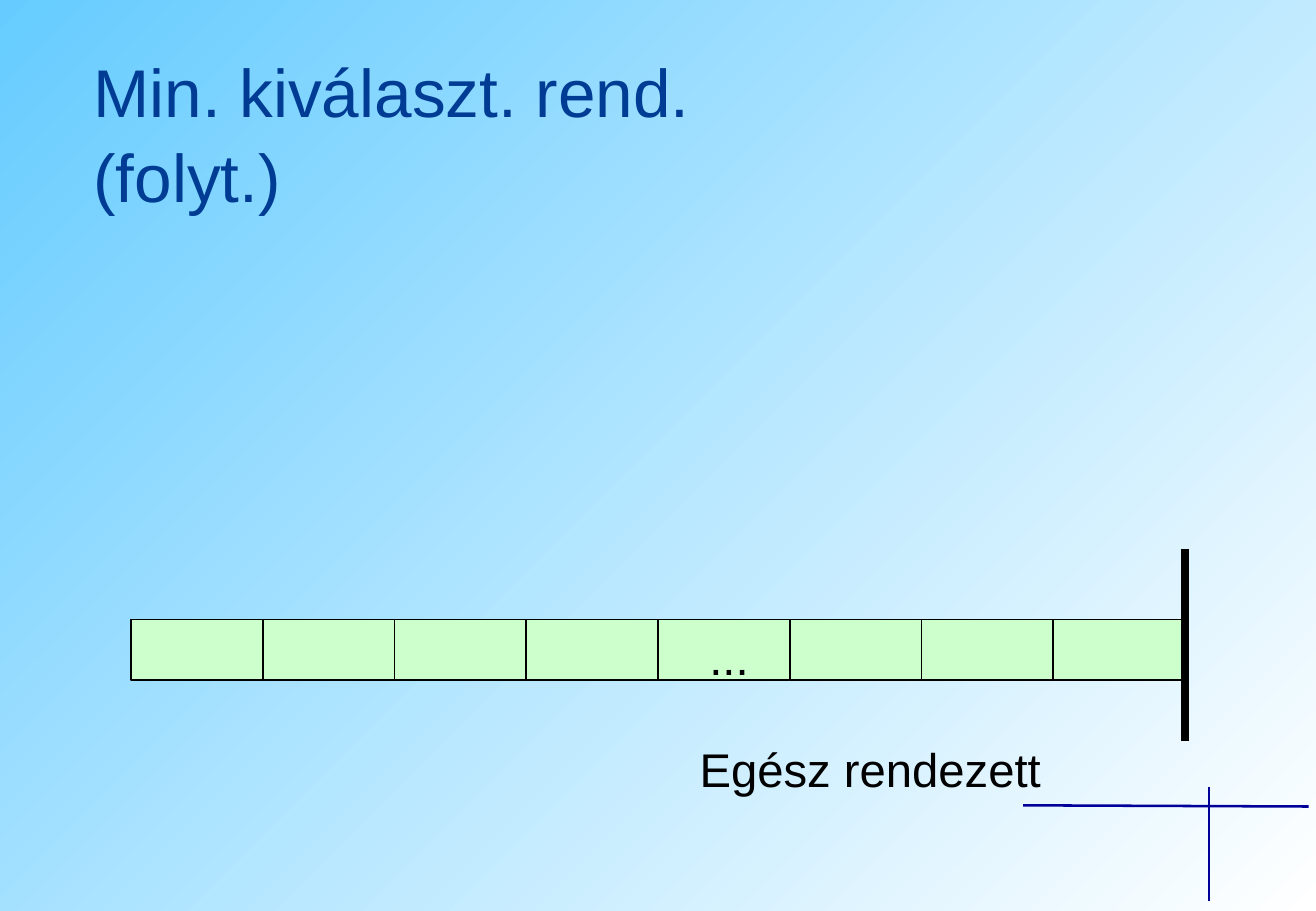
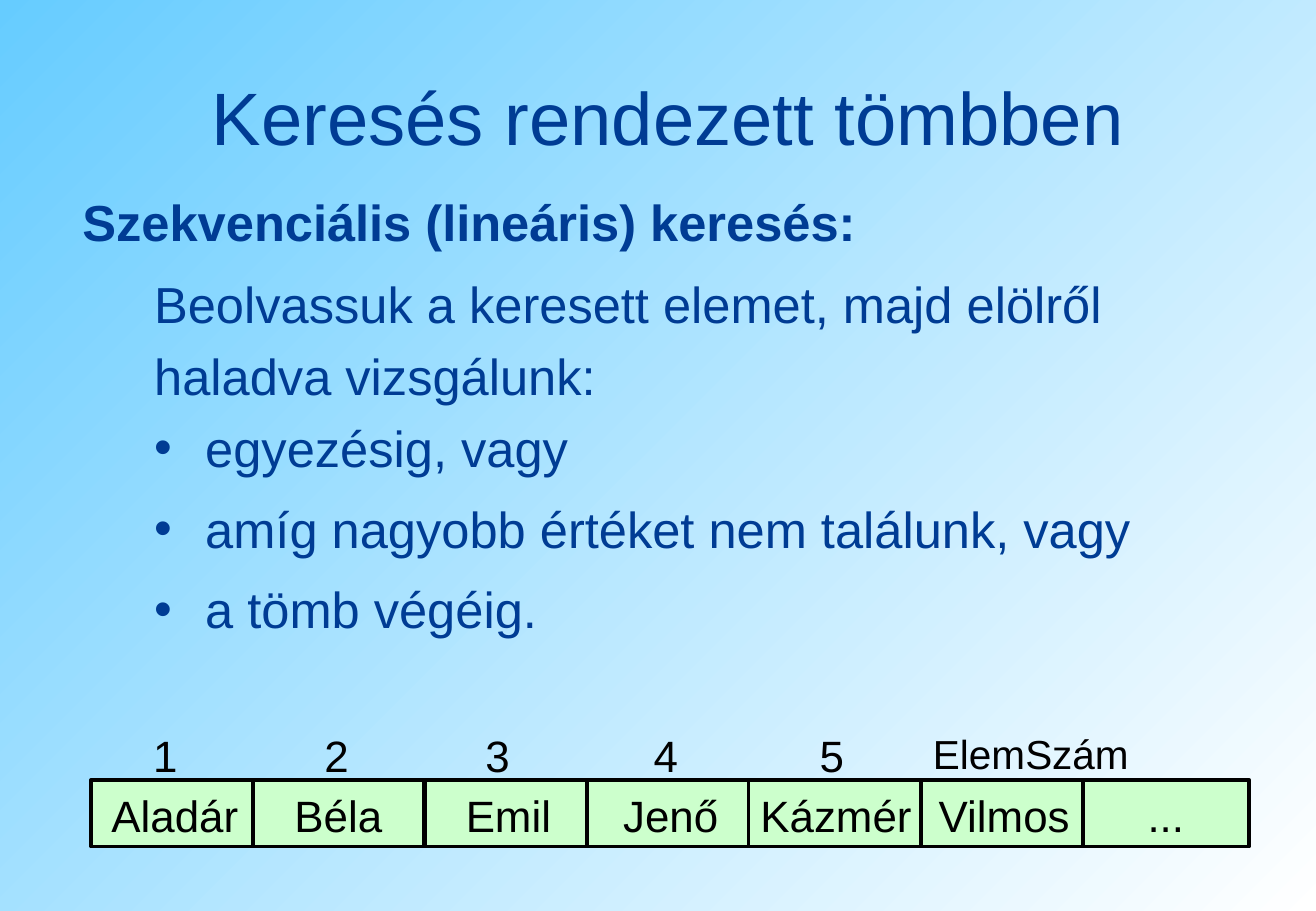
from dataclasses import dataclass

from lxml import etree
from pptx import Presentation
from pptx.dml.color import RGBColor
from pptx.enum.shapes import MSO_CONNECTOR as Connector, MSO_SHAPE as Preset
from pptx.enum.text import MSO_ANCHOR as Anchor, MSO_AUTO_SIZE as AutoSize, PP_ALIGN as Align
from pptx.oxml.ns import qn
from pptx.util import Inches, Pt

# Shared style
COLORS = {"sky": "66CCFF", "white": "FFFFFF", "title": "003C94",
          "cross": "000099", "cell": "CCFFCC", "ink": "000000"}
FONT = "Arial"
LINE_SPACING = 1.05
BULLET_INDENT = Inches(0.42)


@dataclass
class Line:
    text: str
    after: float = 0
    bullet: bool = False


@dataclass
class Cell:
    text: str
    left: float
    width: float
    align: Align = Align.CENTER
    size: float = 26


def color(name: str) -> RGBColor:
    return RGBColor.from_string(COLORS[name])


def add_bullet(paragraph) -> None:
    properties = paragraph._p.get_or_add_pPr()
    properties.set("marL", str(BULLET_INDENT))
    properties.set("indent", str(-BULLET_INDENT))
    etree.SubElement(properties, qn("a:buFont")).set("typeface", FONT)
    etree.SubElement(properties, qn("a:buChar")).set("char", "•")


def write_text(frame, lines: list[Line], *, size: float, ink: str = "ink",
               bold: bool = False, align: Align = Align.LEFT) -> None:
    frame.word_wrap = True
    for number, line in enumerate(lines):
        paragraph = frame.add_paragraph() if number else frame.paragraphs[0]
        paragraph.text = line.text
        if line.bullet:
            add_bullet(paragraph)
        paragraph.alignment = align
        paragraph.line_spacing = LINE_SPACING
        paragraph.space_before = Pt(0)
        paragraph.space_after = Pt(line.after)
        for run in paragraph.runs:
            run.font.name, run.font.size, run.font.bold = FONT, Pt(size), bold
            run.font.color.rgb = color(ink)


def add_text(slide, lines: str | list[Line], left: float, top: float,
             width: float, height: float, **text_format) -> None:
    shape = slide.shapes.add_textbox(Inches(left), Inches(top), Inches(width), Inches(height))
    if isinstance(lines, str):
        lines = [Line(lines)]
    write_text(shape.text_frame, lines, **text_format)
    shape.text_frame.auto_size = AutoSize.SHAPE_TO_FIT_TEXT


def add_cell(slide, cell: Cell, top: float, height: float, border: float) -> None:
    shape = slide.shapes.add_shape(Preset.RECTANGLE, Inches(cell.left), Inches(top),
                                   Inches(cell.width), Inches(height))
    shape.shadow.inherit = False
    shape.fill.solid()
    shape.fill.fore_color.rgb = color("cell")
    shape.line.color.rgb = color("ink")
    shape.line.width = Pt(border)
    if cell.text:
        shape.text_frame.vertical_anchor = Anchor.MIDDLE
        write_text(shape.text_frame, [Line(cell.text)], size=cell.size, align=cell.align)


def add_line(slide, x1: float, y1: float, x2: float, y2: float, ink: str, width: float) -> None:
    line = slide.shapes.add_connector(Connector.STRAIGHT, Inches(x1), Inches(y1),
                                      Inches(x2), Inches(y2))
    line.line.color.rgb = color(ink)
    line.line.width = Pt(width)
    etree.SubElement(line._element.spPr, qn("a:effectLst"))


def add_slide(presentation):
    slide = presentation.slides.add_slide(presentation.slide_layouts[6])
    fill = slide.background.fill
    fill.gradient()
    fill.gradient_angle = 135
    for stop, name, position in zip(fill.gradient_stops, ("white", "sky"), (0, 1)):
        stop.color.rgb = color(name)
        stop.position = position
    return slide


def build_sorted_slide(presentation) -> None:
    slide = add_slide(presentation)
    # Corner cross
    add_line(slide, 8.42, 6.63, 10.77, 6.64, "cross", 1.5)
    add_line(slide, 9.95, 6.48, 9.95, 7.42, "cross", 1.5)
    # Array, fully sorted
    count, left, right = 8, 1.08, 9.75
    width = (right - left) / count
    for number in range(count):
        add_cell(slide, Cell("", left + number * width, width), 5.1, 0.5, 1)
    add_text(slide, "...", 5.5, 5.1, 1, 0.57, size=28, align=Align.CENTER)
    add_text(slide, "Egész rendezett", 5.66, 6.02, 3.83, 0.57, size=28)
    add_line(slide, right, 4.52, right, 6.1, "ink", 4.5)
    # Title
    add_text(slide, "Min. kiválaszt. rend.\n(folyt.)", 0.67, 0.33, 6.08, 1.44,
             size=40, ink="title")


def build_search_slide(presentation) -> None:
    slide = add_slide(presentation)
    # Title and explanation
    add_text(slide, "Keresés rendezett tömbben", 1, 0.5, 9, 0.84,
             size=44, ink="title", align=Align.CENTER)
    add_text(slide, [
        Line("Beolvassuk a keresett elemet, majd elölről", 5),
        Line("haladva vizsgálunk:", 5),
        Line("egyezésig, vagy", 10, True),
        Line("amíg nagyobb értéket nem találunk, vagy", 10, True),
        Line("a tömb végéig.", 10, True),
    ], 1.17, 2.17, 8.58, 3.02, size=30, ink="title")
    add_text(slide, "Szekvenciális (lineáris) keresés:", 0.58, 1.5, 6.75, 0.6,
             size=30, ink="title", bold=True)
    # Array of names
    names = [
        Cell("Aladár", 0.75, 1.38), Cell("Béla", 2.08, 1.41), Cell("Emil", 3.5, 1.37),
        Cell("Jenő", 4.83, 1.38), Cell("Kázmér", 6.16, 1.54, Align.LEFT),
        Cell("Vilmos", 7.58, 1.37), Cell("...", 8.91, 1.37),
    ]
    for name in names:
        add_cell(slide, name, 6.42, 0.55, 2.25)
    # Indexes above the array
    indexes = [
        Cell("1", 0.67, 1.38), Cell("2", 2.04, 1.46), Cell("3", 3.41, 1.37),
        Cell("4", 4.79, 1.38), Cell("5", 6.16, 1.37),
        Cell("ElemSzám", 7.58, 1.83, Align.LEFT, 24),
    ]
    for index in indexes:
        add_text(slide, index.text, index.left, 5.93, index.width, 0.54,
                 size=index.size, align=index.align)


def main() -> None:
    presentation = Presentation()
    presentation.slide_width = Inches(10.83)
    presentation.slide_height = Inches(7.5)
    build_sorted_slide(presentation)
    build_search_slide(presentation)
    presentation.save("out.pptx")


if __name__ == "__main__":
    main()
